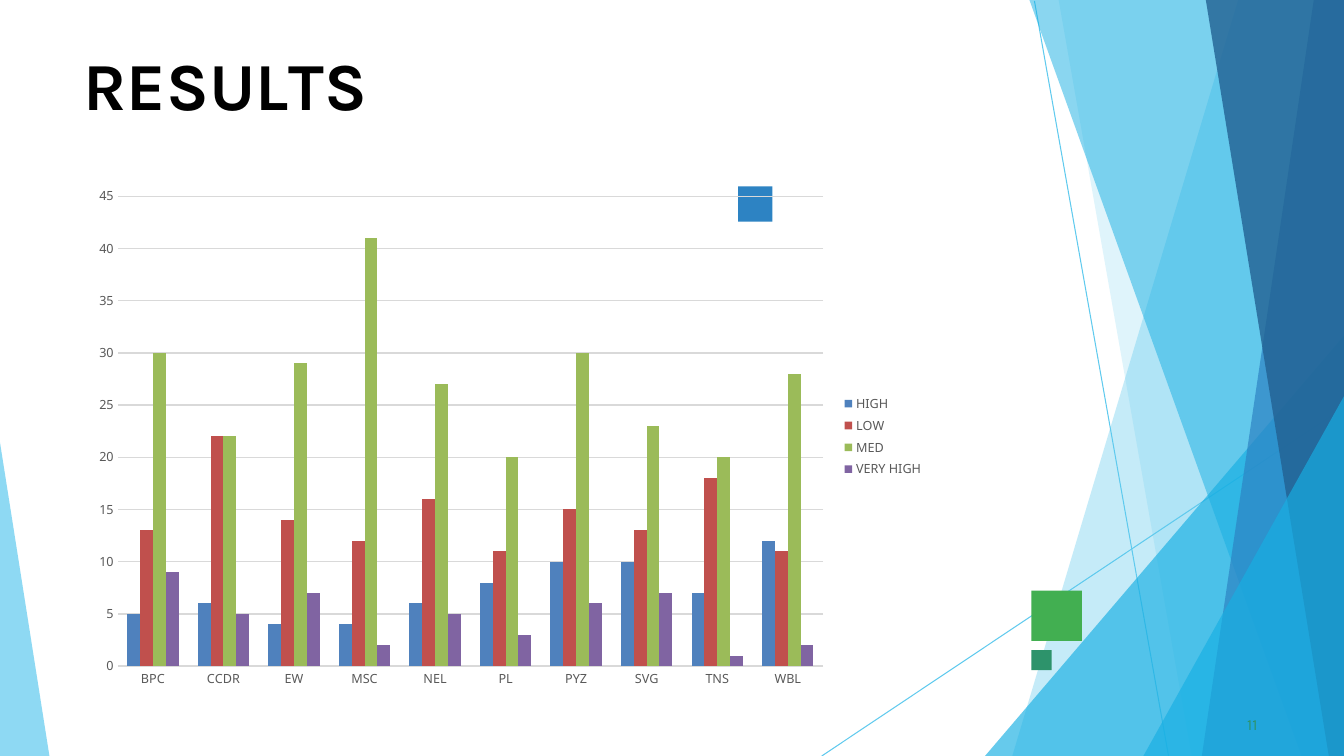
from dataclasses import dataclass

from lxml.etree import SubElement
from pptx import Presentation
from pptx.chart.data import CategoryChartData
from pptx.dml.color import RGBColor
from pptx.enum.chart import XL_CHART_TYPE, XL_LEGEND_POSITION, XL_TICK_MARK
from pptx.enum.shapes import MSO_CONNECTOR, MSO_SHAPE
from pptx.enum.text import MSO_ANCHOR, MSO_AUTO_SIZE, PP_ALIGN
from pptx.oxml import parse_xml
from pptx.oxml.ns import nsdecls, qn
from pptx.util import Inches, Pt


@dataclass(frozen=True)
class Theme:
    sky: str = "5FCAEE"
    cyan: str = "17AFE3"
    blue: str = "2D83C3"
    navy: str = "226192"
    green: str = "42AF51"
    teal: str = "2D936B"
    title: str = "000000"
    label: str = "595959"
    grid: str = "D9D9D9"
    heading_font: str = "Karla"
    chart_font: str = "Noto Sans"
    title_size: int = 48
    number_size: int = 11
    label_size: int = 9


THEME = Theme()
WIDTH, HEIGHT = 13.33, 7.5

# Content: title letters with their spacing in hundredths of a point
TITLE = [("R", 0), ("E", -40), ("S", 10), ("U", -30), ("L", -400), ("TS", 0)]
PAGE_NUMBER = "11"
CATEGORIES = ["BPC", "CCDR", "EW", "MSC", "NEL", "PL", "PYZ", "SVG", "TNS", "WBL"]
SERIES = [
    ("HIGH", "4F81BD", [5, 6, 4, 4, 6, 8, 10, 10, 7, 12]),
    ("LOW", "C0504D", [13, 22, 14, 12, 16, 11, 15, 13, 18, 11]),
    ("MED", "9BBB59", [30, 22, 29, 41, 27, 20, 30, 23, 20, 28]),
    ("VERY HIGH", "8064A2", [9, 5, 7, 2, 5, 3, 6, 7, 1, 2]),
]

# Decoration: thin lines, then translucent facets (colour, opacity %, corners)
LINES = [(10.26, 0.01, 11.59, HEIGHT), (WIDTH, 4.04, 8.15, HEIGHT)]


def right_facet(top_left, bottom_left):
    return [(WIDTH, 0), (top_left, 0), (bottom_left, HEIGHT), (WIDTH, HEIGHT)]


def corner_facet(top, left):
    return [(WIDTH, top), (left, HEIGHT), (WIDTH, HEIGHT)]


FACETS = [
    (THEME.sky, 36, right_facet(12.28, 10.04)),
    (THEME.sky, 20, right_facet(10.5, 11.82)),
    (THEME.cyan, 66, corner_facet(3.33, 9.77)),
    (THEME.cyan, 50, right_facet(10.21, 12.91)),
    (THEME.blue, 70, right_facet(13.03, 11.92)),
    (THEME.navy, 80, right_facet(11.96, 13.18)),
    (THEME.cyan, 66, corner_facet(3.93, 11.34)),
    (THEME.sky, 70, [(0, 4.39), (0, HEIGHT), (0.49, HEIGHT)]),
]
SQUARES = [
    (THEME.green, 10.23, 5.86, 0.5, 0.5),
    (THEME.blue, 7.32, 1.85, 0.34, 0.35),
    (THEME.teal, 10.23, 6.45, 0.2, 0.2),
]


def paint(shape, color, opacity=100):
    shape.shadow.inherit = False
    shape.line.fill.background()
    shape.fill.solid()
    shape.fill.fore_color.rgb = RGBColor.from_string(color)
    if opacity < 100:
        tint = shape.fill._xPr.find(qn("a:solidFill"))[0]
        SubElement(tint, qn("a:alpha")).set("val", str(opacity * 1000))


def style_font(font, name, size, color, bold=False):
    font.name, font.size, font.bold = name, Pt(size), bold
    font.color.rgb = RGBColor.from_string(color)


def prepare_frame(frame):
    frame.margin_left = frame.margin_right = frame.margin_bottom = 0
    frame.margin_top = Inches(0.01)
    frame.vertical_anchor = MSO_ANCHOR.TOP
    frame.auto_size = MSO_AUTO_SIZE.NONE
    frame.word_wrap = True


def place(shape, *box):
    shape.left, shape.top, shape.width, shape.height = map(Inches, box)


def add_decoration(page):
    for x1, y1, x2, y2 in LINES:
        line = page.shapes.add_connector(MSO_CONNECTOR.STRAIGHT, *map(Inches, (x1, y1, x2, y2)))
        line.line.color.rgb = RGBColor.from_string(THEME.sky)
        line.line.width = Pt(0.75)
        SubElement(line._element.spPr, qn("a:effectLst"))
    for color, opacity, corners in FACETS:
        points = [(Inches(x), Inches(y)) for x, y in corners]
        builder = page.shapes.build_freeform(*points[0])
        builder.add_line_segments(points[1:], close=True)
        paint(builder.convert_to_shape(), color, opacity)
    for color, *box in SQUARES:
        paint(page.shapes.add_shape(MSO_SHAPE.RECTANGLE, *map(Inches, box)), color)


def add_texts(page):
    # Title, moved in front of the decoration
    title = page.shapes.title
    page.shapes._spTree.append(title._element)
    place(title, 0.83, 0.42, 11.68, 0.83)
    prepare_frame(title.text_frame)
    para = title.text_frame.paragraphs[0]
    para.alignment, para.space_before = PP_ALIGN.LEFT, Pt(1)
    for letters, spacing in TITLE:
        span = para.add_run()
        span.text = letters
        style_font(span.font, THEME.heading_font, THEME.title_size, THEME.title, True)
        span.font._element.set("spc", str(spacing))

    # Page number
    box = page.shapes.add_textbox(*map(Inches, (12.33, 7.08, 0.25, 0.21)))
    prepare_frame(box.text_frame)
    box.text_frame.margin_left = Inches(0.04)
    para = box.text_frame.paragraphs[0]
    para.text = PAGE_NUMBER
    style_font(para.runs[0].font, THEME.heading_font, THEME.number_size, THEME.teal)


def add_results_chart(page):
    data = CategoryChartData()
    data.categories = CATEGORIES
    for name, _, values in SERIES:
        data.add_series(name, values)
    frame = page.shapes.add_chart(
        XL_CHART_TYPE.COLUMN_CLUSTERED, *map(Inches, (0.83, 1.74, 8.43, 5.18)), data)
    chart = frame.chart
    chart.has_title = False
    style_font(chart.font, THEME.chart_font, THEME.label_size, THEME.label)

    plot = chart.plots[0]
    plot.gap_width, plot.overlap, plot.vary_by_categories = 150, 0, False
    for series, (_, color, _) in zip(plot.series, SERIES):
        series.format.fill.solid()
        series.format.fill.fore_color.rgb = RGBColor.from_string(color)

    # Axes and gridlines
    for axis in (chart.category_axis, chart.value_axis):
        axis.major_tick_mark = axis.minor_tick_mark = XL_TICK_MARK.NONE
        axis.format.line.fill.background()
        style_font(axis.tick_labels.font, THEME.chart_font, THEME.label_size, THEME.label)
    scale = chart.value_axis
    scale.minimum_scale, scale.maximum_scale, scale.major_unit = 0, 45, 5
    scale.major_gridlines.format.line.color.rgb = RGBColor.from_string(THEME.grid)
    scale.major_gridlines.format.line.width = Pt(1)

    # Legend and plot area
    chart.has_legend = True
    chart.legend.position = XL_LEGEND_POSITION.RIGHT
    chart.legend.include_in_layout = False
    style_font(chart.legend.font, THEME.chart_font, THEME.label_size, THEME.label)
    area = chart._chartSpace.chart.plotArea
    for old in area.findall(qn("c:layout")):
        area.remove(old)
    area.insert(0, parse_xml(
        f'<c:layout {nsdecls("c")}><c:manualLayout><c:layoutTarget val="inner"/>'
        '<c:xMode val="edge"/><c:yMode val="edge"/><c:x val="0.04"/><c:y val="0.04"/>'
        '<c:w val="0.83"/><c:h val="0.9"/></c:manualLayout></c:layout>'))


def main():
    deck = Presentation()
    deck.slide_width, deck.slide_height = Inches(WIDTH), Inches(HEIGHT)
    page = deck.slides.add_slide(deck.slide_layouts[5])
    add_decoration(page)
    add_texts(page)
    add_results_chart(page)
    deck.save("out.pptx")


if __name__ == "__main__":
    main()
